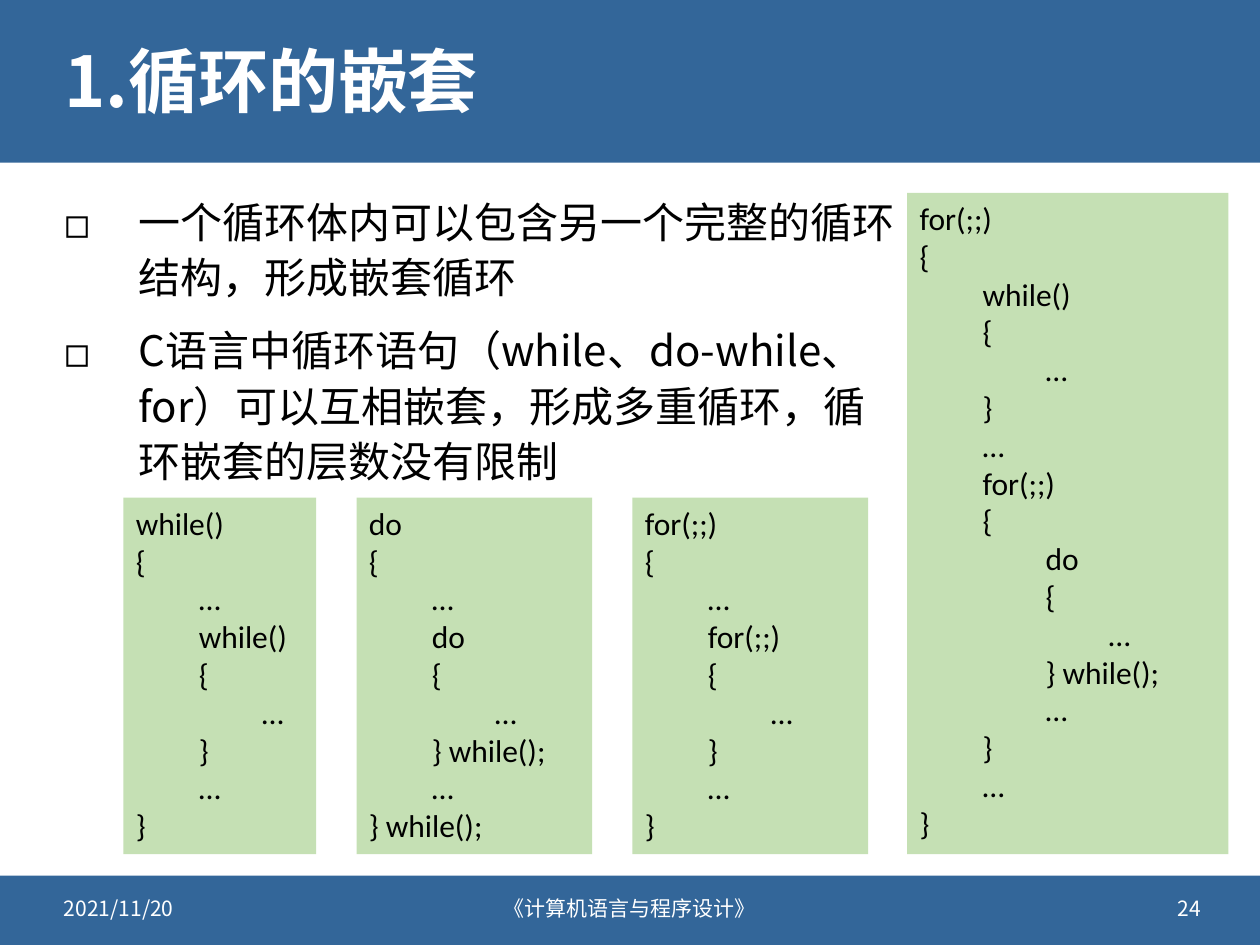
import pptx
import pptx.dml.color
import pptx.enum.shapes
import pptx.enum.text
import pptx.oxml.ns
import pptx.util
from lxml import etree

Inches = pptx.util.Inches
Align = pptx.enum.text.PP_ALIGN
BLUE, GREEN, WHITE, BLACK = "336699", "C5E0B4", "FFFFFF", "000000"
TEXT_FONT, CODE_FONT = "Noto Sans CJK SC", "Calibri"

TITLE = "1.循环的嵌套"
BANDS = [(0, 0, 10, 1.29), (0, 6.95, 10, 0.55)]
POINTS = [
    "一个循环体内可以包含另一个完整的循环结构，形成嵌套循环",
    "C语言中循环语句（while、do-while、for）可以互相嵌套，形成多重循环，循环嵌套的层数没有限制",
]
FOOTERS = [  # left, width, text, alignment
    (0.41, 2.4, "2021/11/20", Align.LEFT),
    (3.2, 3.6, "《计算机语言与程序设计》", Align.CENTER),
    (7.23, 2.4, "24", Align.RIGHT),
]


def nested_pair(opening, closing):
    """Lines, as (level, text), of a loop holding a loop of the same kind."""
    return [(0, opening), (0, "{"), (1, "…"), (1, opening), (1, "{"),
            (2, "…"), (1, closing), (1, "…"), (0, closing)]


MIXED_LOOPS = [
    (0, "for(;;)"), (0, "{"),
    (1, "while()"), (1, "{"), (2, "…"), (1, "}"), (1, "…"),
    (1, "for(;;)"), (1, "{"),
    (2, "do"), (2, "{"), (3, "…"), (2, "} while();"), (2, "…"),
    (1, "}"), (1, "…"), (0, "}"),
]
CODE_BOTTOM = 6.78
CODE_BOXES = [  # left, width, height, lines
    (0.98, 1.53, 2.83, nested_pair("while()", "}")),
    (2.83, 1.87, 2.83, nested_pair("do", "} while();")),
    (5.02, 1.87, 2.83, nested_pair("for(;;)", "}")),
    (7.2, 2.55, 5.25, MIXED_LOOPS),
]


def color(hex_text):
    return pptx.dml.color.RGBColor.from_string(hex_text)


def add_tag(parent, tag, **attributes):
    return etree.SubElement(parent, pptx.oxml.ns.qn(tag), attributes)


def style(para, size, font, hex_text, bold=False):
    for span in para.runs:
        span.font.size = pptx.util.Pt(size)
        span.font.name = font
        span.font.bold = bold
        span.font.color.rgb = color(hex_text)
        add_tag(span.font._element, "a:ea", typeface=font)


def set_margin(para, left, first=0):
    properties = para._p.get_or_add_pPr()
    properties.set("marL", str(Inches(left)))
    properties.set("indent", str(Inches(first)))
    return properties


def add_rectangle(slide, area, fill):
    box = slide.shapes.add_shape(
        pptx.enum.shapes.MSO_SHAPE.RECTANGLE, *map(Inches, area))
    box.shadow.inherit = False
    box.fill.solid()
    box.fill.fore_color.rgb = color(fill)
    box.line.fill.background()
    return box


def add_text_box(slide, area, text):
    box = slide.shapes.add_textbox(*map(Inches, area))
    box.text_frame.word_wrap = True
    box.text_frame.text = text
    return box.text_frame


def place_title(slide):
    title = slide.shapes.title
    title.left, title.top, title.width, title.height = map(
        Inches, (0.41, 0.18, 9.19, 0.99))
    frame = title.text_frame
    frame.text = TITLE
    frame.vertical_anchor = pptx.enum.text.MSO_ANCHOR.MIDDLE
    para = frame.paragraphs[0]
    para.alignment = Align.LEFT
    para.line_spacing = 0.9
    style(para, 40, TEXT_FONT, WHITE, bold=True)
    slide.shapes._spTree.append(title._element)  # in front of the bands


def add_points(slide):
    frame = add_text_box(slide, (0.41, 1.47, 6.82, 5.28), "\n".join(POINTS))
    for para in frame.paragraphs:
        para.line_spacing = 1.1
        para.space_before = pptx.util.Pt(10)
        style(para, 24, TEXT_FONT, BLACK)
        properties = set_margin(para, 0.59, -0.59)
        add_tag(add_tag(properties, "a:buClr"), "a:srgbClr", val=BLACK)
        add_tag(properties, "a:buFont", typeface=TEXT_FONT)
        add_tag(properties, "a:buChar", char="◻")


def add_code(slide, left, width, height, lines):
    box = add_rectangle(slide, (left, CODE_BOTTOM - height, width, height), GREEN)
    frame = box.text_frame
    frame.text = "\n".join(text for _, text in lines)
    frame.vertical_anchor = pptx.enum.text.MSO_ANCHOR.TOP
    frame.auto_size = pptx.enum.text.MSO_AUTO_SIZE.SHAPE_TO_FIT_TEXT
    for para, (level, _) in zip(frame.paragraphs, lines):
        para.alignment = Align.LEFT
        para.level = level
        set_margin(para, 0.5 * level)
        style(para, 18, CODE_FONT, BLACK)


def add_footer(slide, left, width, text, alignment):
    frame = add_text_box(slide, (left, 7.01, width, 0.4), text)
    frame.vertical_anchor = pptx.enum.text.MSO_ANCHOR.MIDDLE
    frame.paragraphs[0].alignment = alignment
    style(frame.paragraphs[0], 12, TEXT_FONT, WHITE)


def main():
    deck = pptx.Presentation()
    deck.slide_width, deck.slide_height = Inches(10), Inches(7.5)
    page = deck.slides.add_slide(deck.slide_layouts.get_by_name("Title Only"))
    for area in BANDS:
        add_rectangle(page, area, BLUE)
    add_points(page)
    place_title(page)
    for code_box in CODE_BOXES:
        add_code(page, *code_box)
    for footer in FOOTERS:
        add_footer(page, *footer)
    deck.save("out.pptx")


if __name__ == "__main__":
    main()
